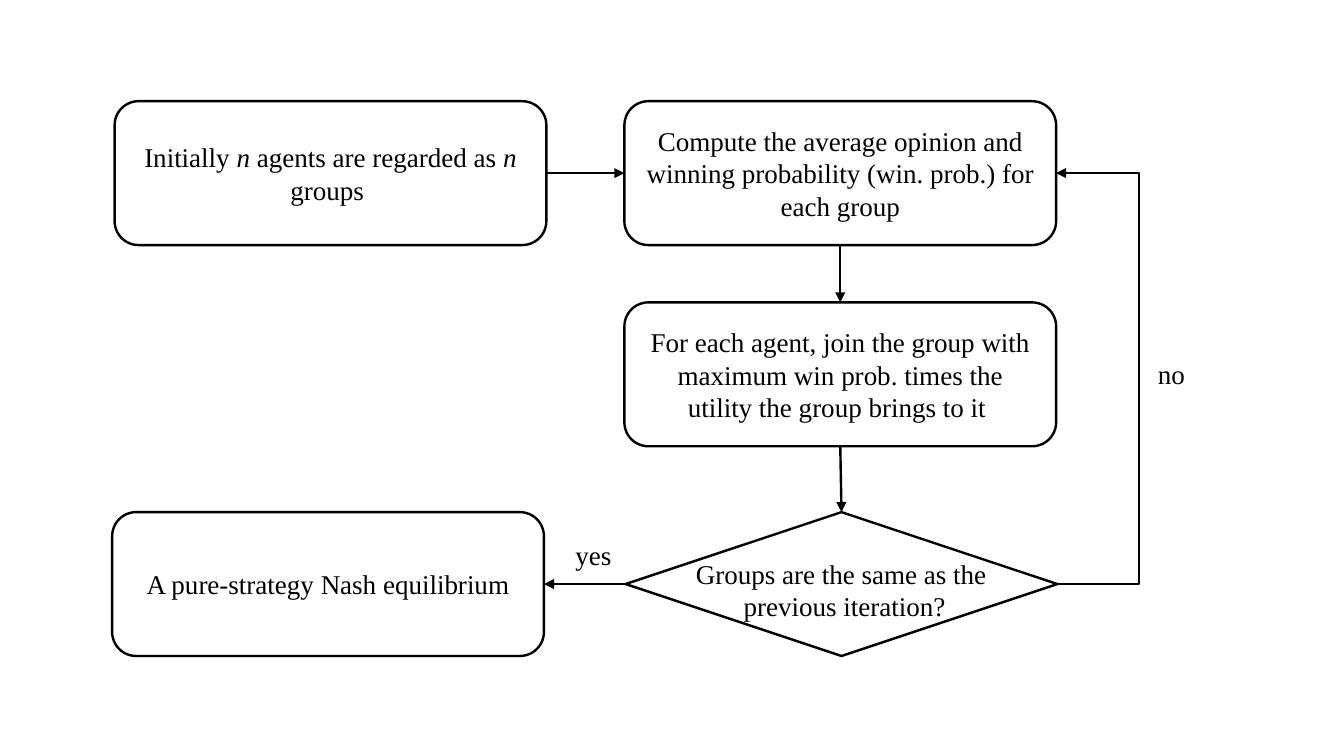
from lxml import etree
from pptx import Presentation
from pptx.dml.color import RGBColor
from pptx.enum import shapes, text
from pptx.oxml import ns
from pptx.util import Inches, Pt

BLACK = RGBColor(0, 0, 0)
FONT = "Times New Roman"
LINE_WIDTH = Pt(1.42)
STEP_W, STEP_H = 3.54, 1.18
TOP, MIDDLE, LEFT, BOTTOM, RIGHT = 0, 0, 1, 2, 3
LOOP_X = 9.35


def write(shape, lines, size=16, color=BLACK, margins=(0.1, 0.05),
          anchor=text.MSO_ANCHOR.TOP):
    """Fill a shape with centred lines; words between asterisks are italic."""
    frame = shape.text_frame
    frame.word_wrap = True
    frame.vertical_anchor = anchor
    frame.margin_left = frame.margin_right = Inches(margins[0])
    frame.margin_top = frame.margin_bottom = Inches(margins[1])
    for i, line in enumerate(lines.split("\n")):
        paragraph = frame.add_paragraph() if i else frame.paragraphs[0]
        paragraph.alignment = text.PP_ALIGN.CENTER
        for j, part in enumerate(line.split("*")):
            run = paragraph.add_run()
            run.text = part
            run.font.name = FONT
            run.font.size = Pt(size)
            run.font.color.rgb = color
            run.font.italic = j % 2 == 1


def add_label(slide, box, lines):
    """Place free text in the given box."""
    label = slide.shapes.add_textbox(*map(Inches, box))
    write(label, lines)
    label.text_frame.auto_size = text.MSO_AUTO_SIZE.SHAPE_TO_FIT_TEXT


def add_outline(slide, kind, left, top):
    """Place an unfilled flowchart outline of the common size."""
    outline = slide.shapes.add_shape(
        kind, *map(Inches, (left, top, STEP_W, STEP_H)))
    outline.shadow.inherit = False
    outline.fill.background()
    outline.line.color.rgb = BLACK
    outline.line.width = LINE_WIDTH
    return outline


def add_step(slide, left, top, lines):
    """Place a rounded step with its text."""
    step = add_outline(slide, shapes.MSO_SHAPE.ROUNDED_RECTANGLE, left, top)
    write(step, lines, margins=(0.11, 0.06), anchor=text.MSO_ANCHOR.MIDDLE)
    return step


def add_decision(slide, left, top, lines):
    """Place a diamond with its question over it."""
    decision = add_outline(slide, shapes.MSO_SHAPE.DIAMOND, left, top)
    add_label(slide, (left + 0.22, top + 0.32, 3.15, 0.59), lines)
    return decision


def add_arrow(slide, kind, start=(0, 0), end=(0, 0)):
    """Add a black connector with a triangle at its end."""
    arrow = slide.shapes.add_connector(kind, *map(Inches, start + end))
    arrow.line.color.rgb = BLACK
    arrow.line.width = LINE_WIDTH
    etree.SubElement(arrow.line._get_or_add_ln(), ns.qn("a:tailEnd"),
                     type="triangle")
    etree.SubElement(arrow._element.spPr, ns.qn("a:effectLst"))
    return arrow


def join(slide, source, source_side, target, target_side):
    """Join two outlines with a straight arrow."""
    arrow = add_arrow(slide, shapes.MSO_CONNECTOR.STRAIGHT)
    arrow.begin_connect(source, source_side)
    arrow.end_connect(target, target_side)


def add_loop(slide, start, end, turn_x):
    """Lead an elbow arrow back from start to end by way of turn_x."""
    loop = add_arrow(slide, shapes.MSO_CONNECTOR.ELBOW, start, end)
    ratio = (turn_x - start[0]) / (end[0] - start[0])
    guides = loop._element.spPr.find(ns.qn("a:prstGeom")).find(ns.qn("a:avLst"))
    etree.SubElement(guides, ns.qn("a:gd"), name="adj1",
                     fmla=f"val {round(ratio * 100000)}")


def build_flowchart(slide, left, top):
    """Lay out the group-joining flowchart from its top left corner."""
    right = left + 4.2
    decision_top = top + 3.37
    initial = add_step(slide, left + 0.02, top,
                       "Initially *n* agents are regarded as *n* groups ")
    equilibrium = add_step(slide, left, decision_top,
                           "A pure-strategy Nash equilibrium")
    compute = add_step(slide, right, top,
                       "Compute the average opinion and winning probability "
                       "(win. prob.) for each group")
    choose = add_step(slide, right, top + 1.65,
                      "For each agent, join the group with maximum win prob. "
                      "times the utility the group brings to it ")
    same = add_decision(slide, right + 0.01, decision_top,
                        "Groups are the same as the \nprevious iteration?")

    join(slide, initial, RIGHT, compute, LEFT)
    join(slide, compute, BOTTOM, choose, TOP)
    join(slide, choose, BOTTOM, same, TOP)
    join(slide, same, LEFT, equilibrium, RIGHT)
    add_loop(slide, (right + 0.01 + STEP_W, decision_top + STEP_H / 2),
             (right + STEP_W, top + STEP_H / 2), LOOP_X)
    add_label(slide, (left + 3.65, decision_top + 0.17, 0.59, 0.35), "yes")
    add_label(slide, (LOOP_X - 0.02, top + 2.05, 0.55, 0.35), "no")


def main():
    """Build and save the slide."""
    deck = Presentation()
    deck.slide_width, deck.slide_height = Inches(11.02), Inches(6.2)
    slide = deck.slides.add_slide(deck.slide_layouts[6])
    build_flowchart(slide, 0.92, 0.83)
    deck.save("out.pptx")


if __name__ == "__main__":
    main()
